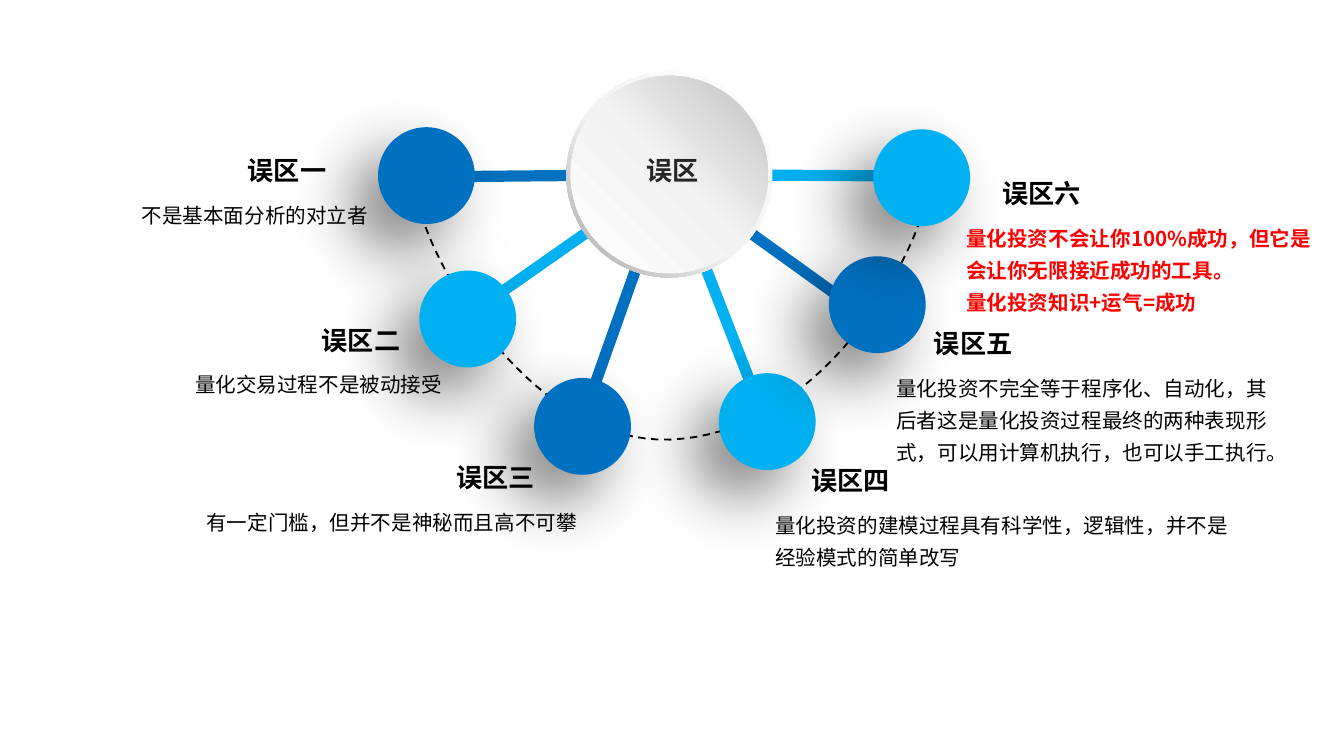
from dataclasses import dataclass

from lxml.etree import SubElement
from pptx import Presentation
from pptx.dml.color import RGBColor
from pptx.enum.dml import MSO_LINE_DASH_STYLE as Dash
from pptx.enum.shapes import MSO_CONNECTOR as Connector, MSO_SHAPE as Preset
from pptx.enum.text import MSO_AUTO_SIZE as AutoSize, PP_ALIGN as Align
from pptx.oxml.ns import qn
from pptx.util import Cm, Pt

Point = tuple[float, float]
Stops = tuple[tuple[int, str], ...]


@dataclass(frozen=True)
class Theme:
    font: str = "Noto Sans CJK SC"
    deep: str = "0070C0"
    bright: str = "00B0F0"
    black: str = "000000"
    hub_text: str = "262626"
    warning: str = "FF0000"
    title_size: int = 14
    body_size: int = 11
    body_spacing: float = 1.3
    rim: Stops = ((0, "FFFFFF"), (55, "F2F2F2"), (100, "A6A6A6"))
    face: Stops = ((0, "FFFFFF"), (51, "F2F2F2"), (100, "BFBFBF"))


@dataclass(frozen=True)
class Myth:
    title: str
    body: tuple[str, ...]
    node: Point
    spoke_end: Point
    title_at: Point
    body_left: float
    body_width: float
    body_height: float
    on_left: bool = False
    warned: bool = False


THEME = Theme()
HUB: Point = (12.65, 3.3)
NODE_SIZE = 1.83
RIM_SIZE, FACE_SIZE = 3.89, 3.73
TITLE_WIDTH, TITLE_HEIGHT = 2.01, 0.86
BODY_DROP = 0.77
ARC_START: Point = (8.0, 3.33)
ARC_CURVES: tuple[tuple[Point, Point, Point], ...] = (
    ((8.74, 3.35), (16.71, 3.2), (17.53, 3.43)),
    ((17.68, 4.06), (15.88, 8.18), (12.67, 8.31)),
    ((9.47, 8.43), (7.29, 3.3), ARC_START),
)
ARC_STEPS = 40

MYTHS = (
    Myth("误区一", ("不是基本面分析的对立者",),
         (8.06, 3.32), (7.34, 3.35), (4.42, 2.8), 0.1, 7.11, 0.81, on_left=True),
    Myth("误区二", ("量化交易过程不是被动接受",),
         (8.84, 6.03), (8.48, 6.22), (5.82, 6.0), 1.5, 7.11, 0.81, on_left=True),
    Myth("误区三", ("有一定门槛，但并不是神秘而且高不可攀",),
         (11.01, 8.06), (10.9, 8.23), (8.36, 8.6), 3.51, 7.65, 0.81, on_left=True),
    Myth("误区四", ("量化投资的建模过程具有科学性，逻辑性，并不是经验模式的简单改写",),
         (14.5, 7.97), (14.5, 8.05), (15.09, 8.66), 14.4, 9.09, 1.42),
    Myth("误区五", ("量化投资不完全等于程序化、自动化，其后者这是量化投资过程最终的两种"
                 "表现形式，可以用计算机执行，也可以手工执行。",),
         (16.58, 5.76), (16.71, 6.22), (17.4, 6.07), 16.69, 7.8, 2.03),
    Myth("误区六", ("量化投资不会让你100%成功，但它是会让你无限接近成功的工具。",
                 "量化投资知识+运气=成功"),
         (17.42, 3.36), (17.81, 3.33), (18.69, 3.23), 18.01, 7.11, 2.03, warned=True),
)


def rgb(colour: str) -> RGBColor:
    return RGBColor.from_string(colour)


def add_disc(shapes, centre: Point, size: float, preset=Preset.OVAL):
    left, top = (value - size / 2 for value in centre)
    disc = shapes.add_shape(preset, Cm(left), Cm(top), Cm(size), Cm(size))
    disc.shadow.inherit = False
    disc.line.fill.background()
    return disc


def add_node(shapes, centre: Point, colour: str) -> None:
    node = add_disc(shapes, centre, NODE_SIZE)
    node.fill.solid()
    node.fill.fore_color.rgb = rgb(colour)
    effects = node._element.spPr.find(qn("a:effectLst"))
    shadow = SubElement(effects, qn("a:outerShdw"), blurRad=str(Pt(35)),
                        dist=str(Pt(20)), dir=str(135 * 60000), rotWithShape="0")
    tint = SubElement(shadow, qn("a:srgbClr"), val=THEME.black)
    SubElement(tint, qn("a:alpha"), val="50000")


def paint_gradient(disc, stops: Stops, angle: int) -> None:
    disc.fill.gradient()
    gradient = disc._element.spPr.find(qn("a:gradFill"))
    for child in list(gradient):
        gradient.remove(child)
    stop_list = SubElement(gradient, qn("a:gsLst"))
    for position, colour in stops:
        stop = SubElement(stop_list, qn("a:gs"), pos=str(position * 1000))
        SubElement(stop, qn("a:srgbClr"), val=colour)
    SubElement(gradient, qn("a:lin"), ang=str(angle * 60000), scaled="0")


def add_spoke(shapes, end: Point, colour: str) -> None:
    spoke = shapes.add_connector(Connector.STRAIGHT, *map(Cm, end), *map(Cm, HUB))
    spoke.line.color.rgb = rgb(colour)
    spoke.line.width = Pt(6)
    SubElement(spoke._element.spPr, qn("a:effectLst"))


def curve_points(start: Point, first: Point, second: Point, end: Point) -> list[Point]:
    points = []
    for step in range(1, ARC_STEPS + 1):
        t = step / ARC_STEPS
        weights = ((1 - t) ** 3, 3 * t * (1 - t) ** 2, 3 * t * t * (1 - t), t ** 3)
        x, y = (sum(w * v for w, v in zip(weights, axis))
                for axis in zip(start, first, second, end))
        points.append((Cm(x), Cm(y)))
    return points


def add_arc(shapes) -> None:
    builder = shapes.build_freeform(*map(Cm, ARC_START), scale=1.0)
    start = ARC_START
    for first, second, end in ARC_CURVES:
        builder.add_line_segments(curve_points(start, first, second, end), close=False)
        start = end
    arc = builder.convert_to_shape()
    arc.shadow.inherit = False
    arc.fill.background()
    arc.line.color.rgb = rgb(THEME.black)
    arc.line.width = Pt(1)
    arc.line.dash_style = Dash.DASH


def add_text(shapes, at: Point, width: float, height: float, lines: tuple[str, ...],
             size: int, colour: str, align: Align, bold: bool = False,
             wrap: bool = False, spacing: float = 1.0) -> None:
    frame = shapes.add_textbox(*map(Cm, at), Cm(width), Cm(height)).text_frame
    frame.word_wrap = wrap
    frame.auto_size = AutoSize.SHAPE_TO_FIT_TEXT
    for index, line in enumerate(lines):
        paragraph = frame.add_paragraph() if index else frame.paragraphs[0]
        paragraph.alignment = align
        paragraph.line_spacing = spacing
        run = paragraph.add_run()
        run.text = line
        run.font.name = THEME.font
        run.font.size = Pt(size)
        run.font.bold = bold
        run.font.color.rgb = rgb(colour)
        SubElement(run._r.get_or_add_rPr(), qn("a:ea"), typeface=THEME.font)


def add_myth_text(shapes, myth: Myth) -> None:
    add_text(shapes, myth.title_at, TITLE_WIDTH, TITLE_HEIGHT, (myth.title,),
             THEME.title_size, THEME.black,
             Align.CENTER if myth.on_left else Align.LEFT, bold=True)
    add_text(shapes, (myth.body_left, myth.title_at[1] + BODY_DROP), myth.body_width,
             myth.body_height, myth.body, THEME.body_size,
             THEME.warning if myth.warned else THEME.black,
             Align.RIGHT if myth.on_left else Align.LEFT,
             bold=myth.warned, wrap=True, spacing=THEME.body_spacing)


def add_hub(shapes) -> None:
    hub = shapes.add_group_shape().shapes
    rim = add_disc(hub, HUB, RIM_SIZE, Preset.DONUT)
    rim.adjustments[0] = 0.05
    paint_gradient(rim, THEME.rim, 135)
    paint_gradient(add_disc(hub, HUB, FACE_SIZE), THEME.face, 315)
    add_text(hub, (11.96, 2.8), 1.5, TITLE_HEIGHT, ("误区",), THEME.title_size,
             THEME.hub_text, Align.CENTER, bold=True)


def main() -> None:
    deck = Presentation()
    deck.slide_width, deck.slide_height = Cm(25.4), Cm(14.29)
    shapes = deck.slides.add_slide(deck.slide_layouts[6]).shapes
    colours = (THEME.deep, THEME.bright) * (len(MYTHS) // 2)
    add_arc(shapes)
    for myth, colour in zip(MYTHS, colours):
        add_spoke(shapes, myth.spoke_end, colour)
    for myth, colour in zip(MYTHS, colours):
        add_node(shapes, myth.node, colour)
    for myth in MYTHS:
        add_myth_text(shapes, myth)
    add_hub(shapes)
    deck.save("out.pptx")


if __name__ == "__main__":
    main()
